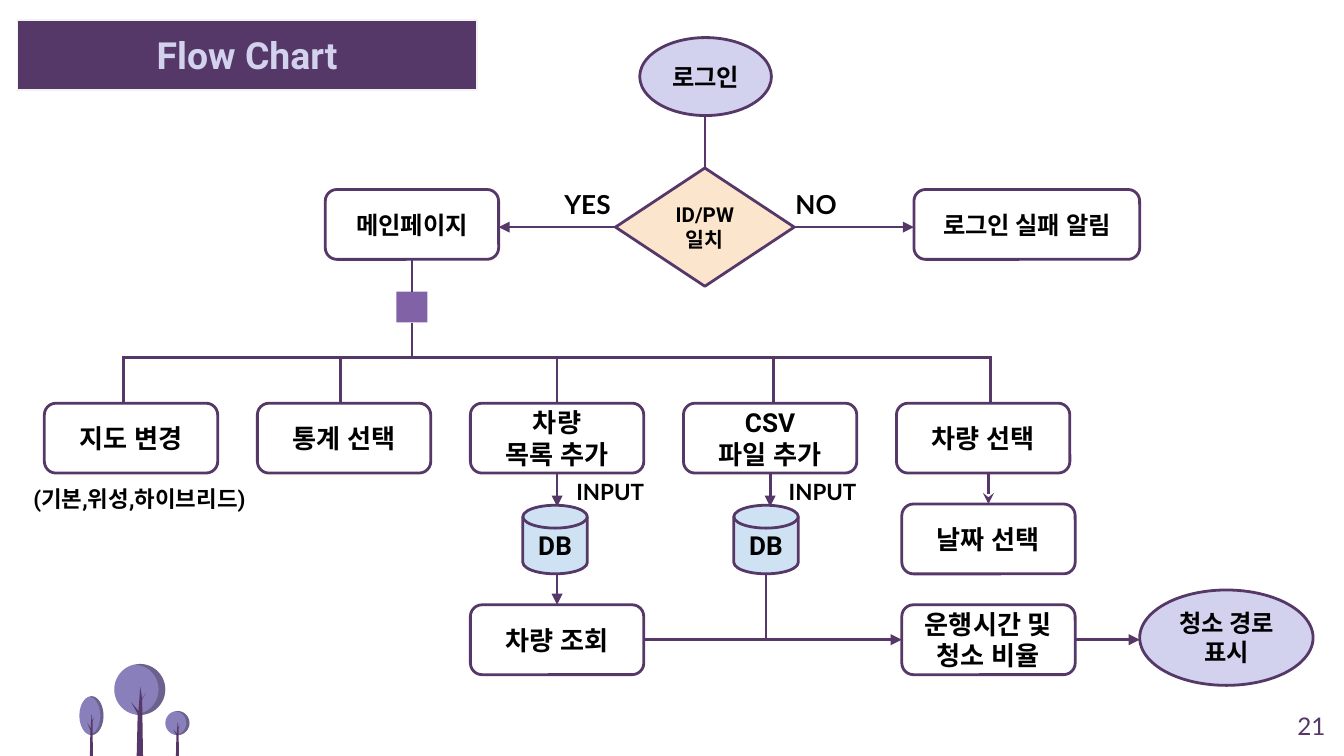
from math import cos, pi, sin

from lxml import etree
from pptx import Presentation
from pptx.dml.color import RGBColor
from pptx.enum.shapes import MSO_CONNECTOR, MSO_SHAPE
from pptx.enum.text import MSO_ANCHOR, PP_ALIGN
from pptx.oxml.ns import qn
from pptx.util import Inches, Pt

RECT, ROUND, OVAL = MSO_SHAPE.RECTANGLE, MSO_SHAPE.ROUNDED_RECTANGLE, MSO_SHAPE.OVAL
GATE, CAN = MSO_SHAPE.FLOWCHART_DECISION, MSO_SHAPE.FLOWCHART_MAGNETIC_DISK
LINE = MSO_CONNECTOR.STRAIGHT
LEFT, MID, RIGHT = PP_ALIGN.LEFT, PP_ALIGN.CENTER, PP_ALIGN.RIGHT
TOP, CENTER, BASE = MSO_ANCHOR.TOP, MSO_ANCHOR.MIDDLE, MSO_ANCHOR.BOTTOM
INK = {"plum": "553868", "lilac": "D2D1EE", "peach": "FCE5CD", "sky": "CFE2F3",
       "knot": "8162A7", "leaf": "897FBB", "shade": "473A50", "edge": "F2F2F2",
       "black": "000000"}

WIDE = Inches(10)
HIGH = WIDE * 9 // 16
COLS, ROWS = 100, 56.25
NODE = 12.9, 5.2  # columns and rows of a standard step
MENU = ["지도 변경", "통계 선택", "차량\v목록 추가", "CSV\v파일 추가", "차량 선택"]
TRUNK = [(.62, 0), (.5, .35), (0, .22), (.45, .39), (.38, 1),
         (.81, 1), (.75, .18), (1, .09), (.75, .17)]


def ink(name):
    return RGBColor.from_string(INK[name])


def grid(box, x, y):
    """Slide position of a column and row counted from the box corner."""
    return int((box[0] + x) * WIDE / COLS), int((box[1] + y) * HIGH / ROWS)


def area(box, x, y, w, h):
    return *grid(box, x, y), *grid((0, 0), w, h)


def write(shape, text, size, face="Roboto", tone="black", bold=True,
          align=MID, anchor=CENTER):
    frame = shape.text_frame
    form = {"word_wrap": True, "vertical_anchor": anchor}
    form |= {f"margin_{side}": Inches(.1) for side in ("left", "right", "top", "bottom")}
    for key, val in form.items():
        setattr(frame, key, val)
    frame.text = text
    para = frame.paragraphs[0]
    para.alignment = align
    for run in para.runs:
        for key, val in {"name": face, "size": Pt(size), "bold": bold}.items():
            setattr(run.font, key, val)
        run.font.color.rgb = ink(tone)
        etree.SubElement(run._r.get_or_add_rPr(), qn("a:ea"), typeface=face)


def paint(shape, fill=None, edge=None, wide=1.5):
    shape.shadow.inherit = False
    if fill:
        shape.fill.solid()
        shape.fill.fore_color.rgb = ink(fill)
    else:
        shape.fill.background()
    if edge:
        shape.line.color.rgb = ink(edge)
        shape.line.width = Pt(wide)
    else:
        shape.line.fill.background()


def node(page, kind, spot, text, size=14, fill=None):
    shape = page.shapes.add_shape(kind, *spot)
    paint(shape, fill, "plum")
    write(shape, text, size)
    return shape


def label(page, spot, text, size, face="Lato", **form):
    write(page.shapes.add_textbox(*spot), text, size, face,
          **{"align": LEFT, "anchor": TOP, **form})


def link(page, start, stop, head=None, wide=1.5, src=None, dst=None):
    """Line between two points; src and dst are (shape, side) joins."""
    line = page.shapes.add_connector(LINE, *start, *stop)
    if src:
        line.begin_connect(*src)
    if dst:
        line.end_connect(*dst)
    line.line.color.rgb = ink("plum")
    line.line.width = Pt(wide)
    props = line._element.spPr
    if head:
        etree.SubElement(props.find(qn("a:ln")), qn("a:tailEnd"), type=head)
    etree.SubElement(props, qn("a:effectLst"))


def title(page, box):
    bar = page.shapes.add_shape(RECT, *area(box, 0, 0, *box[2:]))
    paint(bar, "plum", "edge", .75)
    write(bar, "Flow Chart", 20, tone="lilac", anchor=BASE)


def login(page, box):
    """Draws the sign-in check and returns the main page step."""
    node(page, OVAL, area(box, 23.4, 0, 9.8, 5.8), "로그인", 13, "lilac")
    gate = node(page, GATE, area(box, 21.6, 9.7, 13.3, 8.8), "ID/PW 일치", 11, "peach")
    main = node(page, ROUND, area(box, 0, 11.3, *NODE), "메인페이지", 13)
    node(page, ROUND, area(box, 43.8, 11.3, 16.8, 5.2), "로그인 실패 알림", 13)
    link(page, grid(box, 28.25, 5.9), grid(box, 28.25, 9.7), wide=.75, dst=(gate, 0))
    for side, start, stop, x, word in ((1, 21.6, 12.9, 16.8, "YES"),
                                       (3, 34.9, 43.8, 34, "NO")):
        link(page, grid(box, start, 14.1), grid(box, stop, 14.1), "triangle",
             src=(gate, side))
        label(page, area(box, x, 10.2, 5.9, 3.4), word, 14)
    return main


def menu(page, box, main):
    """Draws the branches under the main page and returns their steps."""
    knot = page.shapes.add_shape(RECT, *area(box, 28, 0, 2.3, 2.3))
    paint(knot, "knot")
    stem, bus, row = 29.15, 4.9, 8.3
    link(page, grid(box, stem, -2.4), grid(box, stem, 0), src=(main, 2), dst=(knot, 0))
    link(page, grid(box, stem, 2.3), grid(box, stem, bus), src=(knot, 2))
    drops = [7.7 + 16.12 * i for i in range(len(MENU))]
    link(page, grid(box, drops[0] - .1, bus), grid(box, drops[-1] + .1, bus))
    for x in drops:
        link(page, grid(box, x, bus), grid(box, x, row))
    label(page, area(box, 0, 13.4, 18.9, 3.4), "(기본,위성,하이브리드)", 12, "Roboto")
    return [node(page, ROUND, area(box, 1.8 + 15.85 * i, row, *NODE), text)
            for i, text in enumerate(MENU)]


def store(page, box, steps):
    """Draws the databases and the steps that lead to the route."""
    ask = node(page, ROUND, area(box, 0, 10.4, *NODE), "차량 조회")
    date = node(page, ROUND, area(box, 32.1, 2.9, *NODE), "날짜 선택")
    rate = node(page, ROUND, area(box, 32.1, 10.4, *NODE), "운행시간 및\v청소 비율")
    node(page, OVAL, area(box, 49.8, 9.3, 12.9, 7.1), "청소 경로 표시", 13, "lilac")
    for i, step in enumerate(steps[2:4]):
        x = 6.45 + 15.85 * i
        node(page, CAN, area(box, 3.9 + 15.7 * i, 3, 4.8, 5.1), "DB", fill="sky")
        link(page, grid(box, x, .6), grid(box, x, 3.1), "triangle", src=(step, 2))
        label(page, area(box, 6.9 + 15.8 * i, 0, 7.3, 3.4), "INPUT", 12)
    link(page, grid(box, 38.55, .6), grid(box, 38.55, 2.9), "stealth", dst=(date, 0))
    link(page, grid(box, 6.45, 8.1), grid(box, 6.45, 10.4), "triangle", dst=(ask, 0))
    link(page, grid(box, 22, 8.1), grid(box, 22, 13))
    link(page, grid(box, 12.9, 13), grid(box, 32.1, 13), "triangle",
         src=(ask, 3), dst=(rate, 1))
    link(page, grid(box, 45, 13), grid(box, 49.8, 13), "triangle", src=(rate, 3))


def outline(page, spots, fill):
    pen = page.shapes.build_freeform(*spots[0], scale=1.0)
    pen.add_line_segments(spots[1:], close=True)
    shape = pen.convert_to_shape()
    paint(shape, fill)
    return shape


def tree(page, box):
    """Draws a tree whose crown fills the box and whose trunk meets the slide foot."""
    x, y, w, h = box
    paint(page.shapes.add_shape(OVAL, *area(box, 0, 0, w, h)), "leaf")
    top = .45 * h
    outline(page, [grid(box, w * (.33 + .29 * u), top + (ROWS - y - top) * v)
                   for u, v in TRUNK], "plum")
    turns = [pi * i / 24 for i in range(25)]
    outer = [(.5 + .5 * sin(t), .5 - .5 * cos(t)) for t in turns]
    inner = [(.42 + .45 * sin(t), .5 - .48 * cos(t)) for t in reversed(turns)]
    shade = outline(page, [grid(box, w * u, h * v) for u, v in outer + inner], "shade")
    tone = shade._element.spPr.find(qn("a:solidFill"))[0]
    etree.SubElement(tone, qn("a:alpha"), val="43000")


def grove(page, box):
    for x, y, w, h in ((2.6, 0, 3.8, 3.8), (6.4, 3.5, 1.8, 1.8), (0, 2.4, 1.8, 2.9)):
        tree(page, (box[0] + x, box[1] + y, w, h))


def main():
    deck = Presentation()
    deck.slide_width, deck.slide_height = WIDE, HIGH
    page = deck.slides.add_slide(deck.slide_layouts[6])
    grove(page, (5.9, 49.4, 8.3, 6.85))
    label(page, area((93.6, 51.9), 0, 0, 6, 4.3), "21", 13, tone="plum",
          bold=False, align=RIGHT)
    title(page, (1.3, 1.5, 34.2, 5.2))
    home = login(page, (24.2, 2.8, 60.6, 18.5))
    steps = menu(page, (1.5, 21.7, 78.1, 16.8), home)
    store(page, (35, 34.6, 62.7, 16.4), steps)
    deck.save("out.pptx")


if __name__ == "__main__":
    main()
